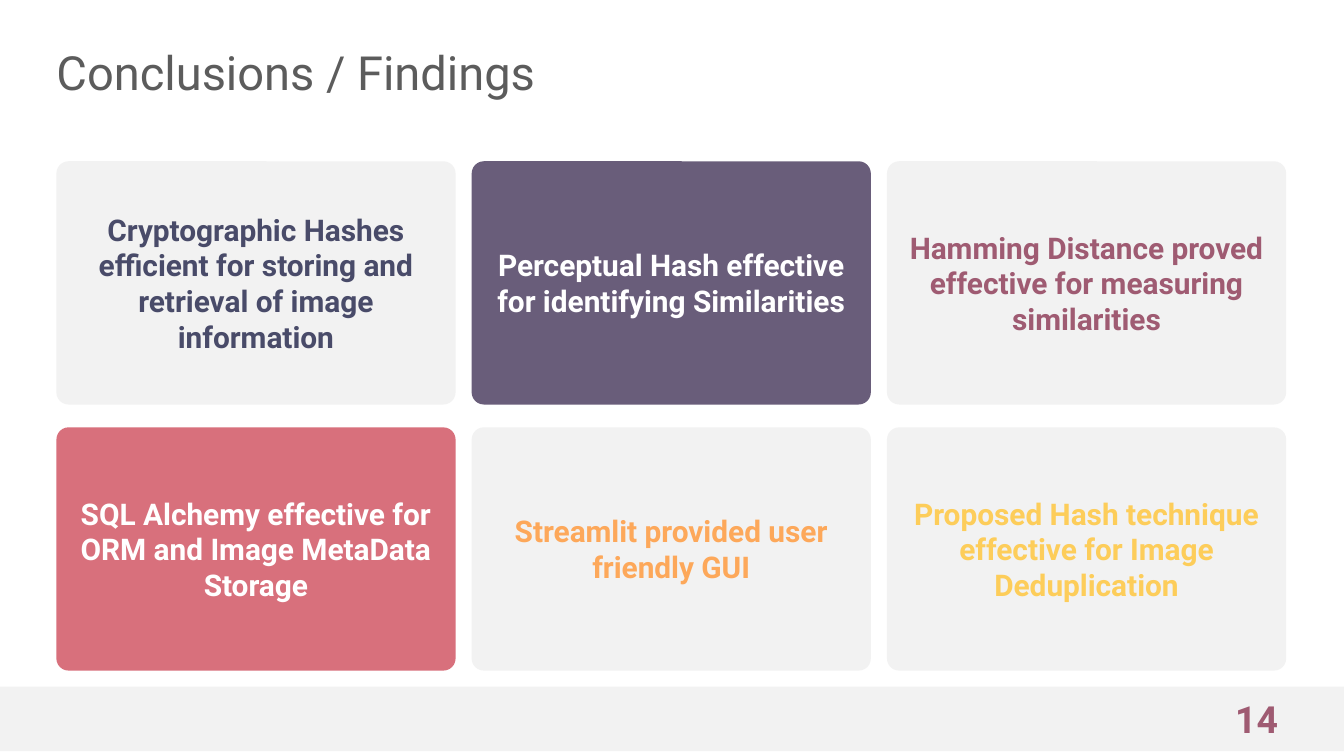
from pptx import Presentation
from pptx.dml.color import RGBColor
from pptx.enum.shapes import MSO_SHAPE
from pptx.enum.text import MSO_ANCHOR, MSO_AUTO_SIZE, PP_ALIGN
from pptx.util import Inches, Pt

ROUNDED, RECT = MSO_SHAPE.ROUNDED_RECTANGLE, MSO_SHAPE.RECTANGLE
MIDDLE, NO_FIT = MSO_ANCHOR.MIDDLE, MSO_AUTO_SIZE.NONE
LEFT, CENTER = PP_ALIGN.LEFT, PP_ALIGN.CENTER

COLORS = {
    "gray": "5C5C5C", "light": "F2F2F2", "white": "FFFFFF",
    "navy": "494B69", "purple": "695D7A", "plum": "9F5B72",
    "rose": "D8707C", "orange": "FDA85A", "yellow": "FDCD5A",
}
NO_MARGINS = dict.fromkeys(
    ("margin_left", "margin_top", "margin_right", "margin_bottom"), 0)

# Card grid, in inches
MARGIN, TOP = 0.42, 1.2
CARD_W, CARD_H = 2.97, 1.81
COL_STEP, ROW_STEP = 3.09, 1.98

CARDS = [  # text, fill, font colour; row by row
    [("Cryptographic Hashes efficient for storing and retrieval of image information",
      "light", "navy"),
     ("Perceptual Hash effective for identifying Similarities", "purple", "white"),
     ("Hamming Distance proved effective for measuring similarities",
      "light", "plum")],
    [("SQL Alchemy effective for ORM and Image MetaData Storage", "rose", "white"),
     ("Streamlit provided user friendly GUI", "light", "orange"),
     ("Proposed Hash technique effective for Image Deduplication",
      "light", "yellow")],
]


def write(s, text, size, color, bold=True, align=LEFT, **frame):
    tf = s.text_frame
    frame = {"word_wrap": True, "auto_size": NO_FIT,
             "vertical_anchor": MIDDLE, **frame}
    for name, value in frame.items():
        setattr(tf, name, value)
    p = tf.paragraphs[0]
    p.alignment = align
    r = p.add_run()
    r.text = text
    for name, value in {"name": "Roboto", "size": Pt(size), "bold": bold}.items():
        setattr(r.font, name, value)
    r.font.color.rgb = RGBColor.from_string(COLORS[color])


def add_block(kind, x, y, w, h, fill):
    s = slide.shapes.add_shape(kind, Inches(x), Inches(y), Inches(w), Inches(h))
    s.shadow.inherit = False
    s.fill.solid()
    s.fill.fore_color.rgb = RGBColor.from_string(COLORS[fill])
    s.line.fill.background()
    return s


prs = Presentation()
prs.slide_width, prs.slide_height = Inches(10), Inches(10 * 9 / 16)
slide = prs.slides.add_slide(prs.slide_layouts[5])

title = slide.shapes.title
title.left, title.top = Inches(MARGIN), Inches(0.31)
title.width, title.height = Inches(9.15), Inches(0.45)
write(title, "Conclusions / Findings", 25.2, "gray", bold=False, **NO_MARGINS)

for row, cards in enumerate(CARDS):
    for col, (text, fill, color) in enumerate(cards):
        card = add_block(ROUNDED, MARGIN + col * COL_STEP, TOP + row * ROW_STEP,
                         CARD_W, CARD_H, fill)
        card.adjustments[0] = 0.05
        write(card, text, 16, color, align=CENTER)

add_block(RECT, 0, 5.11, 10, 0.48, "light")
number = slide.shapes.add_textbox(Inches(9.19), Inches(5.18), Inches(0.4), Inches(0.34))
write(number, "14", 20, "plum", **NO_MARGINS)

prs.save("out.pptx")
